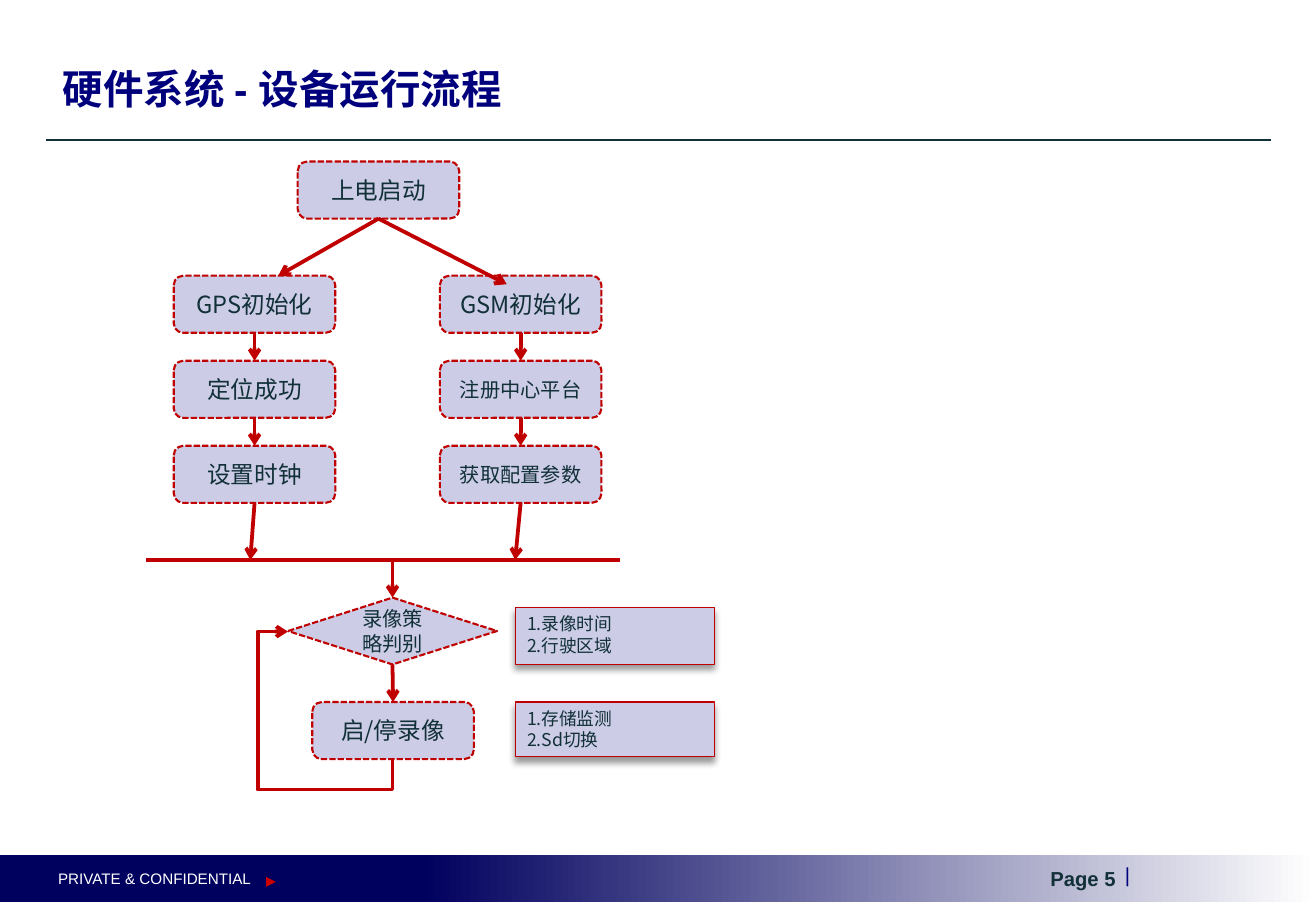
import pptx
import pptx.util
import pptx.dml.color
import pptx.enum.dml
import pptx.enum.shapes
import pptx.enum.text
import pptx.oxml.ns
import lxml.etree

Inches = pptx.util.Inches
Pt = pptx.util.Pt
SHAPE = pptx.enum.shapes.MSO_SHAPE
ALIGN = pptx.enum.text.PP_ALIGN
ANCHOR = pptx.enum.text.MSO_ANCHOR
STRAIGHT = pptx.enum.shapes.MSO_CONNECTOR.STRAIGHT
TOP, BOTTOM = 0, 2

COLORS = {"navy": "00007D", "band": "00005E", "white": "FFFFFF", "ink": "113038",
          "marker": "CC0000", "flow": "C00000", "box": "CCCCE6"}
CJK_FONT = "Noto Sans CJK SC"

# text, left, top, width, height, wrap, alignment, anchor, font
LABELS = [
    ("硬件系统 - 设备运行流程", 0.42, 0.36, 10, 0.73, True, ALIGN.LEFT, ANCHOR.MIDDLE,
     {"size": 24, "color": "navy", "bold": True}),
    ("Page 5 ", 8.49, 7.08, 0.89, 0.3, False, ALIGN.CENTER, ANCHOR.TOP,
     {"size": 12, "color": "ink", "bold": True}),
    ("|", 9.16, 7.05, 0.24, 0.3, False, ALIGN.LEFT, ANCHOR.TOP,
     {"size": 12, "color": "navy"}),
    ("PRIVATE & CONFIDENTIAL", 0.38, 7.11, 1.81, 0.26, True, ALIGN.LEFT, ANCHOR.TOP,
     {"size": 9, "color": "white"}),
]
# column left, [(step, font size)], x where the last arrow meets the bar
BRANCHES = [
    (1.43, [("GPS初始化", 14), ("定位成功", 14), ("设置时钟", 14)], 2.06),
    (3.62, [("GSM初始化", 14), ("注册中心平台", 12), ("获取配置参数", 12)], 4.24),
]
BRANCH_ENTRIES = [(2.29, 2.27), (4.17, 2.34)]
NOTES = [
    (["1.录像时间", "2.行驶区域"], 5, 0.47),
    (["1.存储监测", "2.Sd切换"], 5.78, 0.45),
]
STEP_WIDTH, STEP_HEIGHT = 1.33, 0.47
FIRST_ROW, ROW_PITCH = 2.27, 0.7
BAR_Y, MAIN_X = 4.61, 3.23
LOOP = [(MAIN_X, 6.25), (MAIN_X, 6.5), (2.12, 6.5), (2.12, 5.2), (2.37, 5.2)]


def rgb(name):
    return pptx.dml.color.RGBColor.from_string(COLORS[name])


def add_xml(parent, tag, **attributes):
    return lxml.etree.SubElement(parent, pptx.oxml.ns.qn(tag), attributes)


def write(shape, lines, size, color="ink", bold=False, font_name="Arial",
          alignment=ALIGN.CENTER, anchor=ANCHOR.MIDDLE, wrap=True):
    frame = shape.text_frame
    frame.word_wrap = wrap
    frame.vertical_anchor = anchor
    frame.text = "\n".join(lines)
    for paragraph in frame.paragraphs:
        paragraph.alignment = alignment
        run = paragraph.runs[0]
        for name, value in {"size": Pt(size), "bold": bold, "name": font_name}.items():
            setattr(run.font, name, value)
        run.font.color.rgb = rgb(color)
        latin = run.font._element.find(pptx.oxml.ns.qn("a:latin"))
        east_asian = add_xml(run.font._element, "a:ea", typeface=CJK_FONT)
        latin.addnext(east_asian)


def add_box(kind, left, top, width, height, fill=None, line_width=0, dashed=False):
    shape = slide.shapes.add_shape(kind, *map(Inches, (left, top, width, height)))
    shape.shadow.inherit = False
    if fill:
        shape.fill.solid()
        shape.fill.fore_color.rgb = rgb(fill)
    if line_width:
        shape.line.color.rgb = rgb("flow")
        shape.line.width = Pt(line_width)
    else:
        shape.line.fill.background()
    if dashed:
        shape.line.dash_style = pptx.enum.dml.MSO_LINE.SQUARE_DOT
    return shape


def add_step(text, left, top, size=14, kind=SHAPE.ROUNDED_RECTANGLE,
             width=STEP_WIDTH, height=STEP_HEIGHT):
    step = add_box(kind, left, top, width, height, "box", 1.25, dashed=True)
    write(step, [text], size, font_name=CJK_FONT)
    return step


def style_line(shape, color="flow", width=2.25, arrow=True):
    shape.line.color.rgb = rgb(color)
    shape.line.width = Pt(width)
    if arrow:
        add_xml(shape.line._get_or_add_ln(), "a:tailEnd", type="arrow")


def add_line(start, end, **style):
    """Draw a line; each end is a point in inches or a shape to join."""
    points = [(0, 0) if hasattr(target, "shape_id") else target for target in (start, end)]
    line = slide.shapes.add_connector(STRAIGHT, *[Inches(v) for p in points for v in p])
    if hasattr(start, "shape_id"):
        line.begin_connect(start, BOTTOM)
    if hasattr(end, "shape_id"):
        line.end_connect(end, TOP)
    style_line(line, **style)
    add_xml(line._element.spPr, "a:effectLst")


presentation = pptx.Presentation()
presentation.slide_width = Inches(10.83)
presentation.slide_height = Inches(7.5)
slide = presentation.slides.add_slide(presentation.slide_layouts[6])

# Page frame
band = add_box(SHAPE.RECTANGLE, 0, 7.04, 10.83, 0.39)
band.fill.gradient()
band.fill.gradient_angle = 0
for stop, (position, color) in zip(band.fill.gradient_stops, [(0.32, "band"), (1, "white")]):
    stop.position = position
    stop.color.rgb = rgb(color)
add_line((0.38, 1.15), (10.46, 1.15), color="ink", width=1.25, arrow=False)
marker = add_box(SHAPE.PENTAGON, 2.19, 7.22, 0.08, 0.08, "marker")
marker.adjustments[0] = 1
for text, left, top, width, height, wrap, alignment, anchor, font in LABELS:
    label = slide.shapes.add_textbox(*map(Inches, (left, top, width, height)))
    write(label, [text], wrap=wrap, alignment=alignment, anchor=anchor, **font)

# Start and the two parallel branches
start = add_step("上电启动", 2.45, 1.33)
for (left, steps, bar_x), entry in zip(BRANCHES, BRANCH_ENTRIES):
    boxes = [add_step(text, left, FIRST_ROW + row * ROW_PITCH, size)
             for row, (text, size) in enumerate(steps)]
    add_line(start, entry)
    for upper, lower in zip(boxes, boxes[1:]):
        add_line(upper, lower)
    add_line(boxes[-1], (bar_x, BAR_Y))
add_line((1.2, BAR_Y), (5.1, BAR_Y), arrow=False)

# Recording loop
decision = add_step("录像策略判别", 2.37, 4.92, 12, SHAPE.FLOWCHART_DECISION, 1.72, 0.55)
recording = add_step("启/停录像", 2.57, 5.78)
add_line((MAIN_X, BAR_Y), decision)
add_line(decision, recording)
loop_points = [(Inches(x), Inches(y)) for x, y in LOOP]
builder = slide.shapes.build_freeform(*loop_points[0])
builder.add_line_segments(loop_points[1:], close=False)
loop = builder.convert_to_shape()
loop.shadow.inherit = False
loop.fill.background()
style_line(loop)

# Notes
for lines, top, height in NOTES:
    note = add_box(SHAPE.RECTANGLE, 4.24, top, 1.64, height, "box", 0.75)
    write(note, lines, 10.5, font_name=CJK_FONT, alignment=ALIGN.LEFT, anchor=ANCHOR.TOP)
    effects = note._element.spPr.find(pptx.oxml.ns.qn("a:effectLst"))
    shadow = add_xml(effects, "a:outerShdw", blurRad=str(Pt(4)), dist=str(Pt(3)),
                     dir="5400000", rotWithShape="0")
    shadow_color = add_xml(shadow, "a:srgbClr", val="000000")
    add_xml(shadow_color, "a:alpha", val="40000")

presentation.save("out.pptx")
